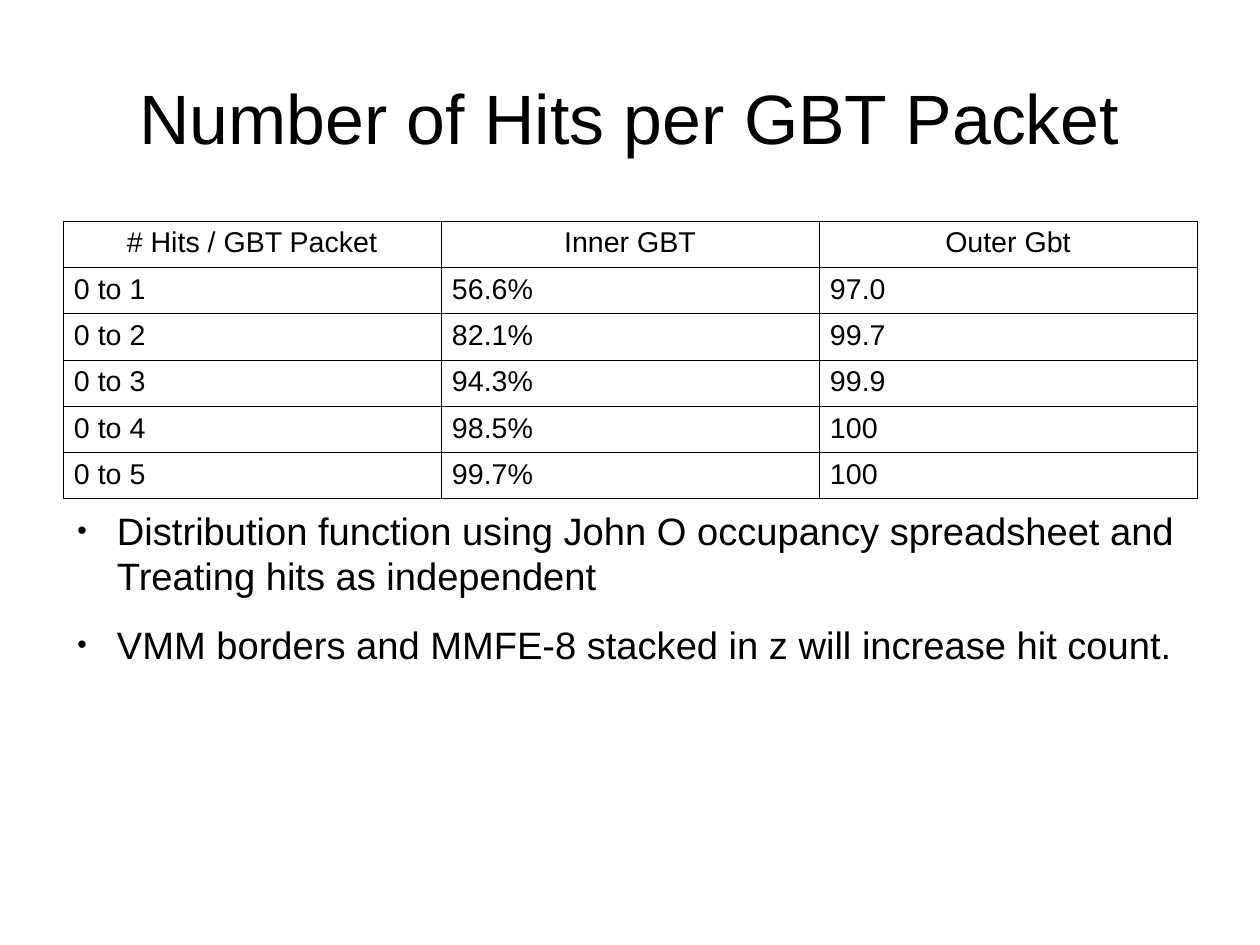
from dataclasses import dataclass

import lxml.etree
import pptx
import pptx.dml.color
import pptx.enum.text
import pptx.oxml.ns
import pptx.slide
import pptx.table
import pptx.text.text
import pptx.util

EMU_PER_PX = 8000
CENTER = pptx.enum.text.PP_ALIGN.CENTER
LEFT = pptx.enum.text.PP_ALIGN.LEFT


@dataclass(frozen=True)
class Theme:
    font: str = "Arial"
    ink: str = "000000"
    title_size: int = 44
    body_size: int = 24
    table_size: int = 18
    border_width: float = 0.57
    bullet_percent: int = 45
    paragraph_gap: float = 14.2


@dataclass(frozen=True)
class Box:
    left: int
    top: int
    width: int
    height: int

    def emu(self) -> tuple[pptx.util.Emu, ...]:
        return tuple(px(n) for n in (self.left, self.top, self.width, self.height))


@dataclass(frozen=True)
class HitRow:
    hits: str
    inner: str
    outer: str

    def cells(self) -> tuple[str, str, str]:
        return self.hits, self.inner, self.outer


THEME = Theme()
TITLE = "Number of Hits per GBT Packet"
TITLE_BOX = Box(63, 38, 1134, 158)
TABLE_BOX = Box(63, 221, 1134, 264)
NOTES_BOX = Box(63, 507, 1134, 262)
HIT_ROWS = (
    HitRow("# Hits / GBT Packet", "Inner GBT", "Outer Gbt"),
    HitRow("0 to 1", "56.6%", "97.0"),
    HitRow("0 to 2", "82.1%", "99.7"),
    HitRow("0 to 3", "94.3%", "99.9"),
    HitRow("0 to 4", "98.5%", "100"),
    HitRow("0 to 5", "99.7%", "100"),
)
FINDINGS = (
    "Distribution function using John O occupancy spreadsheet and Treating hits as independent",
    "VMM borders and MMFE-8 stacked in z will increase hit count.",
)


def px(length: int) -> pptx.util.Emu:
    return pptx.util.Emu(length * EMU_PER_PX)


def add_element(parent: lxml.etree._Element, tag: str, **attributes: object) -> lxml.etree._Element:
    element = lxml.etree.SubElement(parent, pptx.oxml.ns.qn(tag))
    for name, value in attributes.items():
        element.set(name, str(value))
    return element


def style_paragraph(
    paragraph: pptx.text.text._Paragraph, size: int, alignment: pptx.enum.text.PP_ALIGN
) -> None:
    paragraph.alignment = alignment
    for run in paragraph.runs:
        run.font.name = THEME.font
        run.font.size = pptx.util.Pt(size)
        run.font.color.rgb = pptx.dml.color.RGBColor.from_string(THEME.ink)


def add_text_box(slide: pptx.slide.Slide, box: Box, text: str) -> pptx.text.text.TextFrame:
    frame = slide.shapes.add_textbox(*box.emu()).text_frame
    frame.word_wrap = True
    frame.margin_left = frame.margin_right = frame.margin_top = frame.margin_bottom = 0
    frame.text = text
    return frame


def add_title(slide: pptx.slide.Slide) -> None:
    frame = add_text_box(slide, TITLE_BOX, TITLE)
    frame.vertical_anchor = pptx.enum.text.MSO_ANCHOR.MIDDLE
    style_paragraph(frame.paragraphs[0], THEME.title_size, CENTER)


def add_cell_borders(cell: pptx.table._Cell) -> None:
    """Draw all four sides; borders must come before the cell's fill in the XML."""
    properties = cell._tc.get_or_add_tcPr()
    for side in ("a:lnL", "a:lnR", "a:lnT", "a:lnB"):
        line = add_element(properties, side, w=int(pptx.util.Pt(THEME.border_width)))
        fill = add_element(line, "a:solidFill")
        add_element(fill, "a:srgbClr", val=THEME.ink)


def add_hit_table(slide: pptx.slide.Slide) -> None:
    column_count = len(HIT_ROWS[0].cells())
    table = slide.shapes.add_table(len(HIT_ROWS), column_count, *TABLE_BOX.emu()).table
    table.first_row = table.horz_banding = False
    for row_index, hit_row in enumerate(HIT_ROWS):
        for column_index, text in enumerate(hit_row.cells()):
            cell = table.cell(row_index, column_index)
            cell.text = text
            cell.margin_left = cell.margin_right = px(11)
            cell.margin_top = cell.margin_bottom = px(6)
            add_cell_borders(cell)
            cell.fill.background()
            alignment = CENTER if row_index == 0 else LEFT
            style_paragraph(cell.text_frame.paragraphs[0], THEME.table_size, alignment)


def add_bullet(paragraph: pptx.text.text._Paragraph) -> None:
    properties = paragraph._p.get_or_add_pPr()
    properties.set("marL", str(px(54)))
    properties.set("indent", str(px(-40)))
    color = add_element(properties, "a:buClr")
    add_element(color, "a:srgbClr", val=THEME.ink)
    add_element(properties, "a:buSzPct", val=THEME.bullet_percent * 1000)
    add_element(properties, "a:buFont", typeface=THEME.font)
    add_element(properties, "a:buChar", char="●")


def add_findings(slide: pptx.slide.Slide) -> None:
    frame = add_text_box(slide, NOTES_BOX, "\n".join(FINDINGS))
    for paragraph in frame.paragraphs:
        style_paragraph(paragraph, THEME.body_size, LEFT)
        paragraph.space_after = pptx.util.Pt(THEME.paragraph_gap)
        add_bullet(paragraph)


def main() -> None:
    presentation = pptx.Presentation()
    presentation.slide_width = px(1260)
    presentation.slide_height = px(945)
    slide = presentation.slides.add_slide(presentation.slide_layouts[6])
    add_title(slide)
    add_hit_table(slide)
    add_findings(slide)
    presentation.save("out.pptx")


if __name__ == "__main__":
    main()
